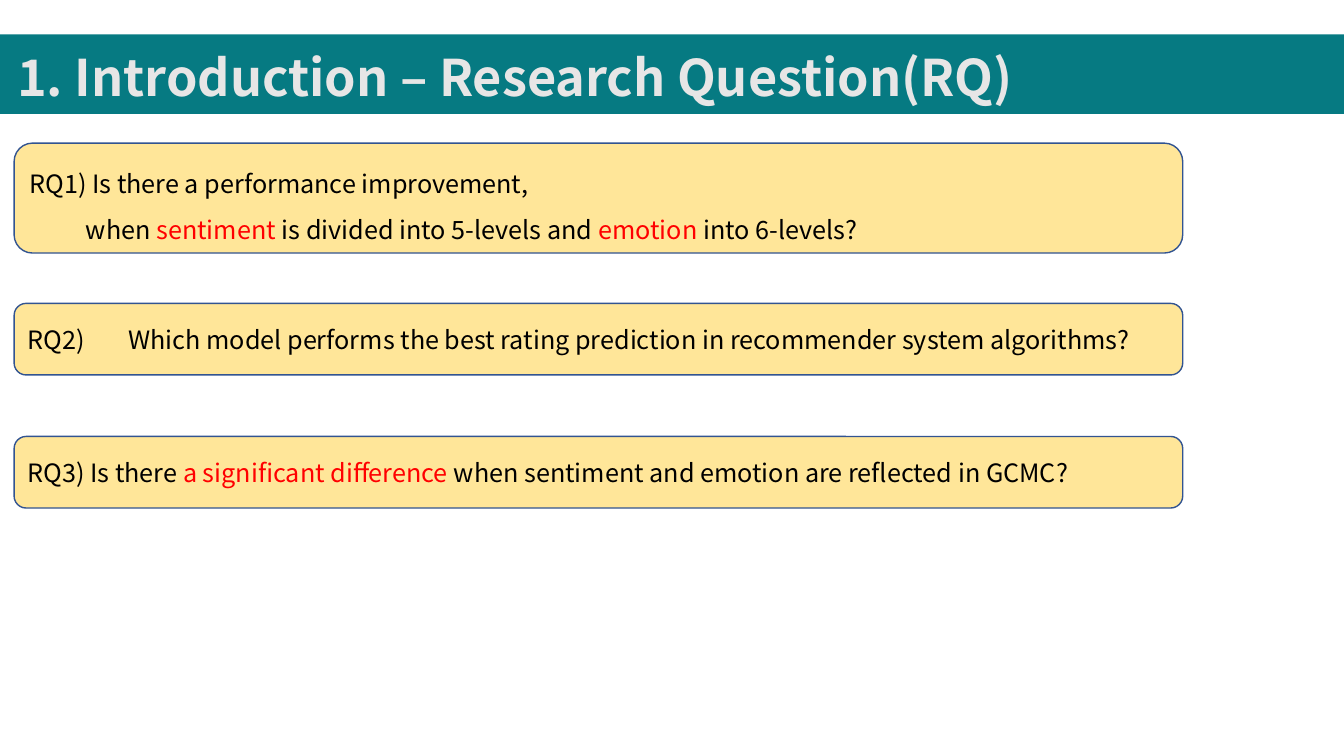
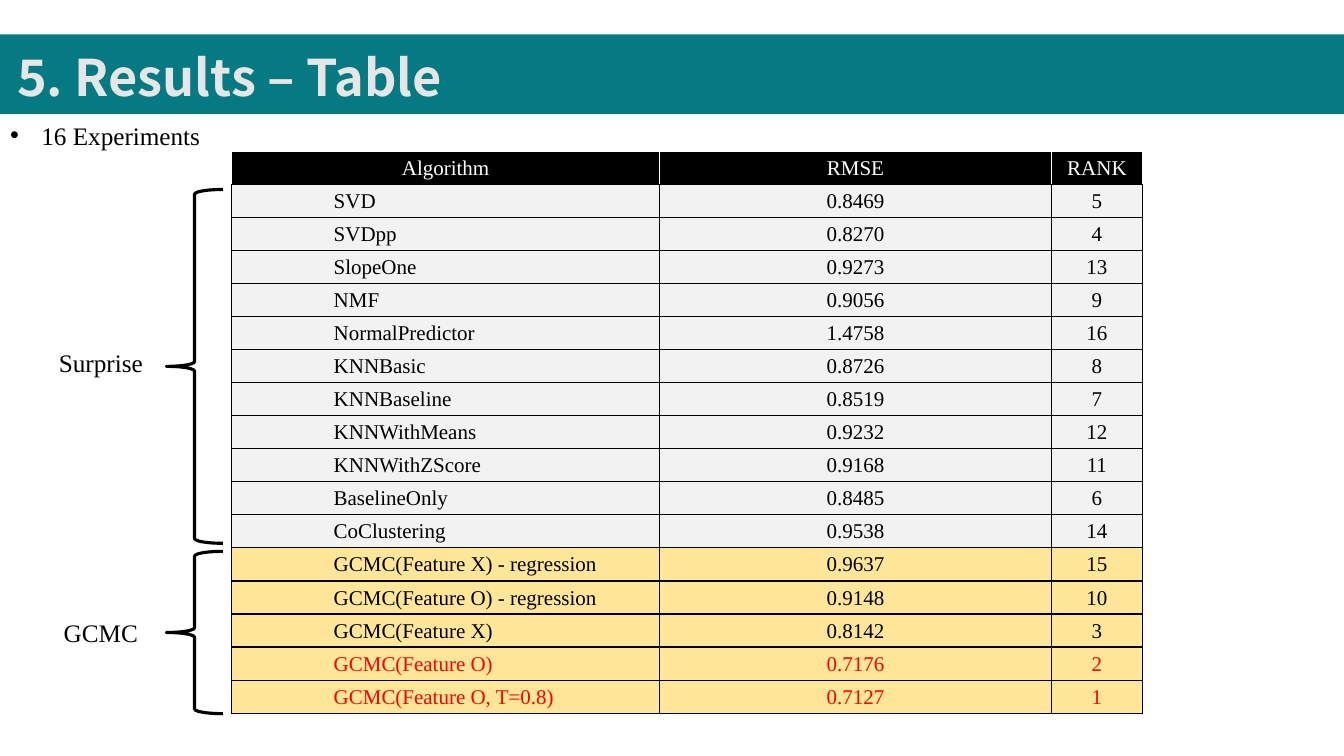
"""Build two slides: the research questions and the table of results."""
import lxml.etree
import pptx
import pptx.dml.color
import pptx.enum.shapes
import pptx.enum.text
import pptx.oxml.ns
import pptx.util

Inches = pptx.util.Inches
Pt = pptx.util.Pt
RGBColor = pptx.dml.color.RGBColor
Align = pptx.enum.text.PP_ALIGN
Anchor = pptx.enum.text.MSO_ANCHOR
Fit = pptx.enum.text.MSO_AUTO_SIZE
Shape = pptx.enum.shapes.MSO_SHAPE
qn = pptx.oxml.ns.qn

TEAL = RGBColor(0x06, 0x7A, 0x82)
PALE = RGBColor(0xE7, 0xE6, 0xE6)
SAND = RGBColor(0xFF, 0xE6, 0x99)
BLUE = RGBColor(0x32, 0x54, 0x91)
GRAY = RGBColor(0xF2, 0xF2, 0xF2)
RED = RGBColor(0xFF, 0, 0)
BLACK = RGBColor(0, 0, 0)
WHITE = RGBColor(0xFF, 0xFF, 0xFF)
SANS = "Noto Sans CJK KR"
SERIF = "Times New Roman"

HEAD = ("Algorithm", "RMSE", "RANK")
SURPRISE = [
    ("SVD", "0.8469", "5"),
    ("SVDpp", "0.8270", "4"),
    ("SlopeOne", "0.9273", "13"),
    ("NMF", "0.9056", "9"),
    ("NormalPredictor", "1.4758", "16"),
    ("KNNBasic", "0.8726", "8"),
    ("KNNBaseline", "0.8519", "7"),
    ("KNNWithMeans", "0.9232", "12"),
    ("KNNWithZScore", "0.9168", "11"),
    ("BaselineOnly", "0.8485", "6"),
    ("CoClustering", "0.9538", "14"),
]
GCMC = [
    ("GCMC(Feature X) - regression", "0.9637", "15"),
    ("GCMC(Feature O) - regression", "0.9148", "10"),
    ("GCMC(Feature X)", "0.8142", "3"),
    ("GCMC(Feature O)", "0.7176", "2"),
    ("GCMC(Feature O, T=0.8)", "0.7127", "1"),
]
BEST = ("1", "2")


def write(frame, text, size=18, font=SERIF, color=BLACK, bold=False,
          align=Align.LEFT, lead=1.0, left=0, first=0, tab=None):
    """Add a paragraph in which text between asterisks is red."""
    para = frame.paragraphs[0]
    if para.runs:
        para = frame.add_paragraph()
    props = para._p.get_or_add_pPr()
    props.set("marL", str(Inches(left)))
    props.set("indent", str(Inches(first)))
    if tab:
        tabs = lxml.etree.SubElement(props, qn("a:tabLst"))
        lxml.etree.SubElement(tabs, qn("a:tab"), pos=str(Inches(tab)), algn="l")
    para.alignment = align
    para.line_spacing = lead
    para.space_before = Pt(0)
    for index, part in enumerate(text.split("*")):
        if part:
            run = para.add_run()
            run.text = part
            run.font.name = font
            run.font.size = Pt(size)
            run.font.bold = bold
            run.font.color.rgb = RED if index % 2 else color


def place(shape, *spot):
    """Move and size a shape in inches."""
    shape.left, shape.top, shape.width, shape.height = map(Inches, spot)


def draw(slide, kind, spot, fill=None, line=None, weight=1):
    """Add a flat preset shape."""
    shape = slide.shapes.add_shape(kind, *map(Inches, spot))
    shape.shadow.inherit = False
    if fill is None:
        shape.fill.background()
    else:
        shape.fill.solid()
        shape.fill.fore_color.rgb = fill
    if line is None:
        shape.line.fill.background()
    else:
        shape.line.color.rgb = line
        shape.line.width = Pt(weight)
    return shape


def start(deck, layout, text):
    """Add a slide with a title on a teal band."""
    slide = deck.slides.add_slide(deck.slide_layouts[layout])
    title = slide.shapes.title
    place(title, 0.07, 0.15, 13.27, 0.92)
    frame = title.text_frame
    frame.word_wrap = True
    frame.auto_size = Fit.SHAPE_TO_FIT_TEXT
    frame.vertical_anchor = Anchor.MIDDLE
    write(frame, text, size=36, font=SANS, color=PALE, bold=True, lead=1.5)
    band = draw(slide, Shape.RECTANGLE, (0, 0.34, 13.33, 0.79), fill=TEAL)
    title._element.addprevious(band._element)
    return slide


def ask(slide, top, height, anchor=Anchor.MIDDLE):
    """Add a question box and return its text frame."""
    box = draw(slide, Shape.ROUNDED_RECTANGLE, (0.14, top, 11.59, height),
               fill=SAND, line=BLUE)
    box.text_frame.vertical_anchor = anchor
    return box.text_frame


def group(slide, text, top, height, label):
    """Add a brace with its label on the left."""
    draw(slide, Shape.LEFT_BRACE, (1.65, top, 0.56, height),
         line=BLACK, weight=2.25)
    box = slide.shapes.add_textbox(*map(Inches, (0.44, label, 1.12, 0.4)))
    box.text_frame.word_wrap = True
    write(box.text_frame, text, align=Align.CENTER)


def edge(cell, **sides):
    """Draw the cell borders, given a colour for each side."""
    props = cell._tc.get_or_add_tcPr()
    for side, color in sides.items():
        line = lxml.etree.SubElement(props, qn("a:ln" + side), w=str(Pt(1)))
        fill = lxml.etree.SubElement(line, qn("a:solidFill"))
        lxml.etree.SubElement(fill, qn("a:srgbClr"), val=str(color))


def fill_cell(cell, text, fill, rim, **style):
    """Format one table cell and write its text."""
    edge(cell, L=rim, R=rim, T=rim, B=BLACK)
    cell.fill.solid()
    cell.fill.fore_color.rgb = fill
    cell.vertical_anchor = Anchor.MIDDLE
    cell.margin_left = cell.margin_right = cell.margin_top = Inches(0.01)
    cell.margin_bottom = 0
    write(cell.text_frame, text, size=15, **style)


def add_scores(slide):
    """Add the table of scores."""
    rows = [HEAD] + SURPRISE + GCMC
    spot = map(Inches, (2.3, 1.5, 9.03, 5.58))
    table = slide.shapes.add_table(len(rows), len(HEAD), *spot).table
    table.first_row = table.horz_banding = False
    for column, width in zip(table.columns, (4.24, 3.89, 0.9)):
        column.width = Inches(width)
    for r, row in enumerate(rows):
        head = r == 0
        fill = BLACK if head else SAND if row in GCMC else GRAY
        color = WHITE if head else RED if row[2] in BEST else BLACK
        for c, text in enumerate(row):
            name = c == 0 and not head
            fill_cell(table.cell(r, c), text, fill, WHITE if head else BLACK,
                      color=color, left=1 if name else 0,
                      align=Align.LEFT if name else Align.CENTER)


def add_asks(deck):
    """Build the slide of research questions."""
    slide = start(deck, 5, "1. Introduction – Research Question(RQ)")
    frame = ask(slide, 1.42, 1.09, Anchor.TOP)
    write(frame, "RQ1) Is there a performance improvement,", font=SANS, lead=1.5)
    write(frame, "when *sentiment* is divided into 5-levels and *emotion* "
          "into 6-levels?", font=SANS, lead=1.5, left=0.56)
    write(ask(slide, 3.01, 0.71), "RQ2)\tWhich model performs the best rating "
          "prediction in recommender system algorithms?", font=SANS, tab=0.73)
    write(ask(slide, 4.33, 0.71), "RQ3) Is there *a significant difference *"
          "when sentiment and emotion are reflected in GCMC?", font=SANS)


def add_results(deck):
    """Build the slide of results."""
    slide = start(deck, 1, "5. Results – Table")
    body = slide.placeholders[1]
    place(body, 0, 1.14, 2.3, 0.4)
    body.text_frame.auto_size = Fit.NONE
    write(body.text_frame, "16 Experiments", left=0.31, first=-0.31)
    group(slide, "Surprise", 1.88, 3.51, 3.4)
    group(slide, "GCMC", 5.47, 1.61, 6.08)
    add_scores(slide)


def main():
    """Build and save the deck."""
    deck = pptx.Presentation()
    deck.slide_width = Inches(13.33)
    deck.slide_height = Inches(7.5)
    add_asks(deck)
    add_results(deck)
    deck.save("out.pptx")


if __name__ == "__main__":
    main()
